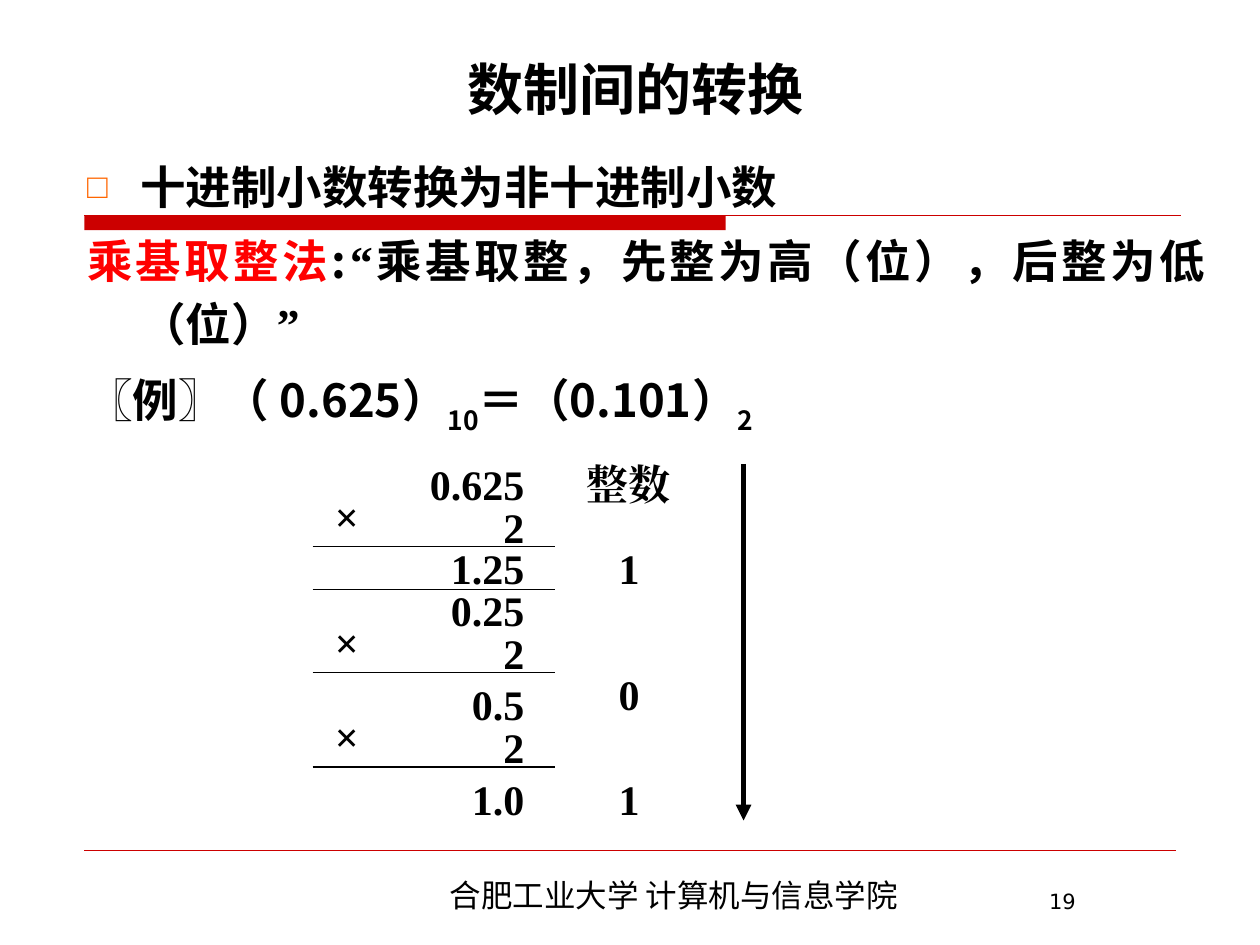
from lxml.etree import SubElement
from pptx import Presentation
from pptx.dml.color import RGBColor as Rgb
from pptx.enum.shapes import MSO_CONNECTOR as Connector, MSO_SHAPE as Shape
from pptx.enum.text import MSO_ANCHOR as Anchor, MSO_AUTO_SIZE as AutoSize, PP_ALIGN as Align
from pptx.oxml.ns import qn
from pptx.util import Cm, Pt

COLORS = {"ink": "000000", "accent": "FF0000", "bar": "CC0000", "bullet": "FF6600"}
SANS = "Noto Sans CJK SC"
SERIF = "Times New Roman"


def write(para, text, size=24, face=SANS, color="ink", bold=True, baseline=0):
    span = para.add_run()
    span.text = text
    span.font.size = Pt(size)
    span.font.bold = bold
    span.font.name = face
    span.font.color.rgb = Rgb.from_string(COLORS[color])
    properties = span.font._element
    SubElement(properties, qn("a:ea"), typeface=face)
    if baseline:
        properties.set("baseline", str(baseline * 1000))


class SlideWriter:
    body_size = 26
    indent = Cm(1.07)

    def __init__(self, slide):
        self.slide = slide

    def place(self, shape, left, top, width, height):
        shape.left, shape.top = Cm(left), Cm(top)
        shape.width, shape.height = Cm(width), Cm(height)
        shape.text_frame.auto_size = AutoSize.NONE
        return shape.text_frame

    def title(self, text, *place):
        frame = self.place(self.slide.shapes.title, *place)
        frame.vertical_anchor = Anchor.BOTTOM
        para = frame.paragraphs[0]
        para.alignment = Align.CENTER
        write(para, text, size=32)

    def body(self, items, *place):
        frame = self.place(self.slide.placeholders[1], *place)
        for index, (bullet, spans) in enumerate(items):
            para = frame.add_paragraph() if index else frame.paragraphs[0]
            self.bullet(para, bullet)
            para.alignment = Align.JUSTIFY
            para.line_spacing = 1.15
            para.space_before = Pt(6.5 if index else 0)
            for text, style in spans:
                write(para, text, size=self.body_size, **style)

    def bullet(self, para, character):
        properties = para._p.get_or_add_pPr()
        properties.set("marL", str(self.indent))
        properties.set("indent", str(-self.indent))
        if not character:
            SubElement(properties, qn("a:buNone"))
            return
        color = SubElement(properties, qn("a:buClr"))
        SubElement(color, qn("a:srgbClr"), val=COLORS["bullet"])
        SubElement(properties, qn("a:buSzPct"), val="75000")
        SubElement(properties, qn("a:buChar"), char=character)

    def text(self, text, left, top, width=2.54, height=1.27, align=Align.LEFT, **style):
        box = self.slide.shapes.add_textbox(Cm(left), Cm(top), Cm(width), Cm(height))
        box.text_frame.word_wrap = True
        para = box.text_frame.paragraphs[0]
        para.alignment = align
        write(para, text, **style)

    def line(self, x1, y1, x2, y2, color="ink", weight=0.75, arrow=False):
        line = self.slide.shapes.add_connector(
            Connector.STRAIGHT, Cm(x1), Cm(y1), Cm(x2), Cm(y2))
        line.line.color.rgb = Rgb.from_string(COLORS[color])
        line.line.width = Pt(weight)
        if arrow:
            SubElement(line.line._get_or_add_ln(), qn("a:tailEnd"), type="triangle")
        SubElement(line._element.spPr, qn("a:effectLst"))

    def bar(self, left, top, width, height):
        bar = self.slide.shapes.add_shape(
            Shape.RECTANGLE, Cm(left), Cm(top), Cm(width), Cm(height))
        bar.shadow.inherit = False
        bar.fill.solid()
        bar.fill.fore_color.rgb = Rgb.from_string(COLORS["bar"])
        bar.line.fill.background()


def add_multiplication(writer):
    number = {"left": 8.28, "align": Align.RIGHT, "face": SERIF}
    for text, top in (("0.625", 9.12), ("0.25", 11.66), ("0.5", 13.56)):
        writer.text(text, top=top, **number)
        writer.text("2", top=top + 0.86, **number)
        writer.text("×", 6.5, top + 0.64, width=1.27, face=SERIF)
        writer.line(6.3, top + 1.9, 11.18, top + 1.9)
    for text, top in (("1.25", 10.82), ("1.0", 15.47)):
        writer.text(text, top=top, **number)
    writer.line(6.3, 11.89, 11.18, 11.89)

    writer.text("整数", 11.58, 9.12, face=SERIF)
    for digit, top in (("1", 10.82), ("0", 13.36), ("1", 15.47)):
        writer.text(digit, 12.22, top, width=1.27, face=SERIF)
    writer.line(14.99, 9.35, 14.99, 16.54, weight=3, arrow=True)


def main():
    deck = Presentation()
    deck.slide_width, deck.slide_height = Cm(25.4), Cm(19.05)
    page = deck.slides.add_slide(deck.slide_layouts[1])
    writer = SlideWriter(page)

    writer.bar(1.7, 4.34, 12.93, 0.3)
    writer.line(1.7, 4.34, 23.8, 4.34, color="bar")
    writer.line(1.7, 17.15, 23.7, 17.15, color="bar", weight=0.25)
    writer.text("合肥工业大学 计算机与信息学院", 5.89, 17.53, 15.39, 1.02,
                align=Align.CENTER, size=18, bold=False)
    writer.text("19", 20.9, 17.78, 3.81, 0.74, size=12, face="DejaVu Sans", bold=False)

    writer.title("数制间的转换", 1.7, 0.71, 22.23, 1.88)
    writer.body([
        ("□", [("十进制小数转换为非十进制小数", {})]),
        (None, [
            ("乘基取整法", {"color": "accent"}),
            (":", {}),
            ("“", {"face": SERIF}),
            ("乘基取整，先整为高（位），后整为低（位）", {}),
            ("”", {"face": SERIF}),
        ]),
        (None, [
            ("〖例〗（ 0.625）", {}),
            ("10", {"baseline": -30}),
            ("＝（0.101）", {}),
            ("2", {"baseline": -30}),
        ]),
    ], 1.5, 2.92, 23.06, 14.45)
    add_multiplication(writer)

    deck.save("out.pptx")


if __name__ == "__main__":
    main()
